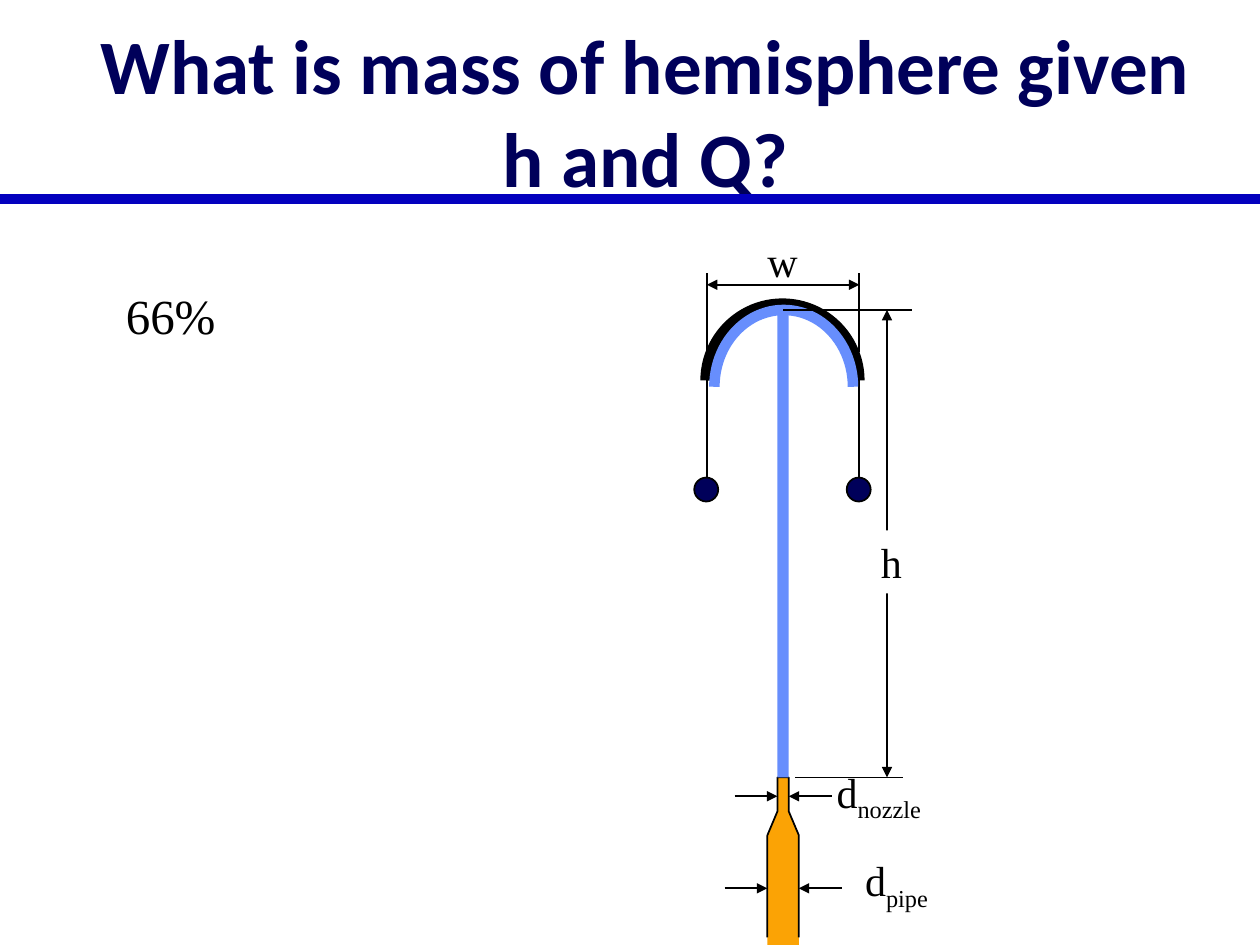
from pptx import Presentation
from pptx.dml.color import RGBColor
from pptx.enum.shapes import MSO_CONNECTOR, MSO_SHAPE
from pptx.enum.text import MSO_ANCHOR, MSO_AUTO_SIZE, PP_ALIGN
from pptx.oxml.ns import qn
from pptx.util import Inches, Pt
from lxml import etree

STRAIGHT = MSO_CONNECTOR.STRAIGHT
ARC, OVAL, RECTANGLE = MSO_SHAPE.ARC, MSO_SHAPE.OVAL, MSO_SHAPE.RECTANGLE
MIDDLE, TOP = MSO_ANCHOR.MIDDLE, MSO_ANCHOR.TOP
CENTER, LEFT = PP_ALIGN.CENTER, PP_ALIGN.LEFT
TITLE_ONLY = 5

COLORS = {name: RGBColor.from_string(value) for name, value in {
    "navy": "00005A", "rule": "0300BE", "black": "000000",
    "white": "FFFFFF", "water": "678EFD", "pipe": "FBA305",
}.items()}

presentation = Presentation()
presentation.slide_width, presentation.slide_height = Inches(10), Inches(7.5)
slide = presentation.slides.add_slide(presentation.slide_layouts[TITLE_ONLY])
shapes = slide.shapes


def add_line(x1, y1, x2, y2, color="black", width=1, arrows=()):
    """Draw a straight line; arrows holds "headEnd" (start) and/or "tailEnd" (end)."""
    line = shapes.add_connector(STRAIGHT, Inches(x1), Inches(y1), Inches(x2), Inches(y2))
    line.line.color.rgb = COLORS[color]
    line.line.width = Pt(width)
    for end in arrows:
        etree.SubElement(line.line._get_or_add_ln(), qn("a:" + end), type="triangle")
    etree.SubElement(line._element.spPr, qn("a:effectLst"))
    return line


def add_label(left, top, width, height, text, subscript="", size=24,
              align=CENTER, anchor=MIDDLE):
    label = shapes.add_textbox(Inches(left), Inches(top), Inches(width), Inches(height))
    frame = label.text_frame
    frame.word_wrap = False
    frame.vertical_anchor = anchor
    paragraph = frame.paragraphs[0]
    paragraph.alignment = align
    paragraph.font.name = "Times New Roman"
    paragraph.font.size = Pt(size)
    paragraph.font.color.rgb = COLORS["black"]
    paragraph.add_run().text = text
    if subscript:
        run = paragraph.add_run()
        run.text = subscript
        run.font._element.set("baseline", "-25000")
    return label


# Rule and title
add_line(0, 1.58, 10, 1.58, "rule", 6)
title = shapes.title
title.left, title.top = Inches(0.5), Inches(0.25)
title.width, title.height = Inches(9.25), Inches(1.25)
title.text_frame.text = "What is mass of hemisphere given h and Q?"
title.text_frame.auto_size = MSO_AUTO_SIZE.NONE
title.text_frame.vertical_anchor = MIDDLE
paragraph = title.text_frame.paragraphs[0]
paragraph.alignment = CENTER
paragraph.font.name = "Calibri"
paragraph.font.size = Pt(44)
paragraph.font.bold = True
paragraph.font.color.rgb = COLORS["navy"]

# Strings with weights, and extension lines of the width
for x in (5.61, 6.82):
    add_line(x, 2.17, x, 2.79)
    add_line(x, 3.01, x, 3.88)
    weight = shapes.add_shape(OVAL, Inches(x - 0.1), Inches(3.79), Inches(0.19), Inches(0.19))
    weight.shadow.inherit = False
    weight.fill.solid()
    weight.fill.fore_color.rgb = COLORS["navy"]
    weight.line.color.rgb = COLORS["black"]
    weight.line.width = Pt(1)

# Pipe and nozzle: fill down to the slide edge, then an open outline
for bottom, outlined in ((7.5, False), (7.44, True)):
    points = [(6.09, bottom), (6.09, 6.63), (6.17, 6.44), (6.17, 6.17),
              (6.26, 6.17), (6.26, 6.44), (6.34, 6.63), (6.34, bottom)]
    corners = [(Inches(x), Inches(y)) for x, y in points]
    builder = shapes.build_freeform(*corners[0])
    builder.add_line_segments(corners[1:], close=not outlined)
    pipe = builder.convert_to_shape()
    pipe.shadow.inherit = False
    if outlined:
        pipe.fill.background()
        pipe.line.color.rgb = COLORS["black"]
        pipe.line.width = Pt(1)
    else:
        pipe.fill.solid()
        pipe.fill.fore_color.rgb = COLORS["pipe"]
        pipe.line.fill.background()

# Water jet
jet = shapes.add_shape(RECTANGLE, Inches(6.17), Inches(2.46), Inches(0.09), Inches(3.71))
jet.shadow.inherit = False
jet.fill.solid()
jet.fill.fore_color.rgb = COLORS["water"]
jet.line.fill.background()

# Hemisphere and the water turned by it: upper halves of ellipses
for left, top, width, color in ((5.6, 2.41, 1.22, "black"), (5.67, 2.46, 1.1, "water")):
    arc = shapes.add_shape(ARC, Inches(left), Inches(top), Inches(width), Inches(1.22))
    arc.adjustments[0] = 108  # 180 degrees
    arc.adjustments[1] = 0
    arc.shadow.inherit = False
    arc.fill.background()
    arc.line.color.rgb = COLORS[color]
    arc.line.width = Pt(6)

# Dimension lines of width and height
add_line(5.61, 2.26, 6.82, 2.26, arrows=("headEnd", "tailEnd"))
add_line(6.21, 2.46, 7.24, 2.46).begin_connect(jet, 0)
add_line(6.31, 6.17, 7.17, 6.17)
add_line(7.04, 2.46, 7.04, 6.17, arrows=("headEnd", "tailEnd"))

# Arrows to both sides of nozzle and pipe
for y, outer_left, inner_left, inner_right, outer_right in (
        (6.32, 5.83, 6.17, 6.26, 6.6), (7.05, 5.75, 6.09, 6.34, 6.68)):
    add_line(outer_left, y, inner_left, y, arrows=("tailEnd",))
    add_line(outer_right, y, inner_right, y, arrows=("tailEnd",))

# Labels
add_label(5.99, 1.82, 0.44, 0.5, "w")
height_label = add_label(6.89, 4.21, 0.37, 0.5, "h")
height_label.fill.solid()
height_label.fill.fore_color.rgb = COLORS["white"]
add_label(6.5, 6.06, 0.95, 0.5, "d", "nozzle")
add_label(6.74, 6.76, 0.75, 0.5, "d", "pipe")
add_label(0.9, 2.22, 0.91, 0.57, "66%", size=28, align=LEFT, anchor=TOP)

presentation.save("out.pptx")
